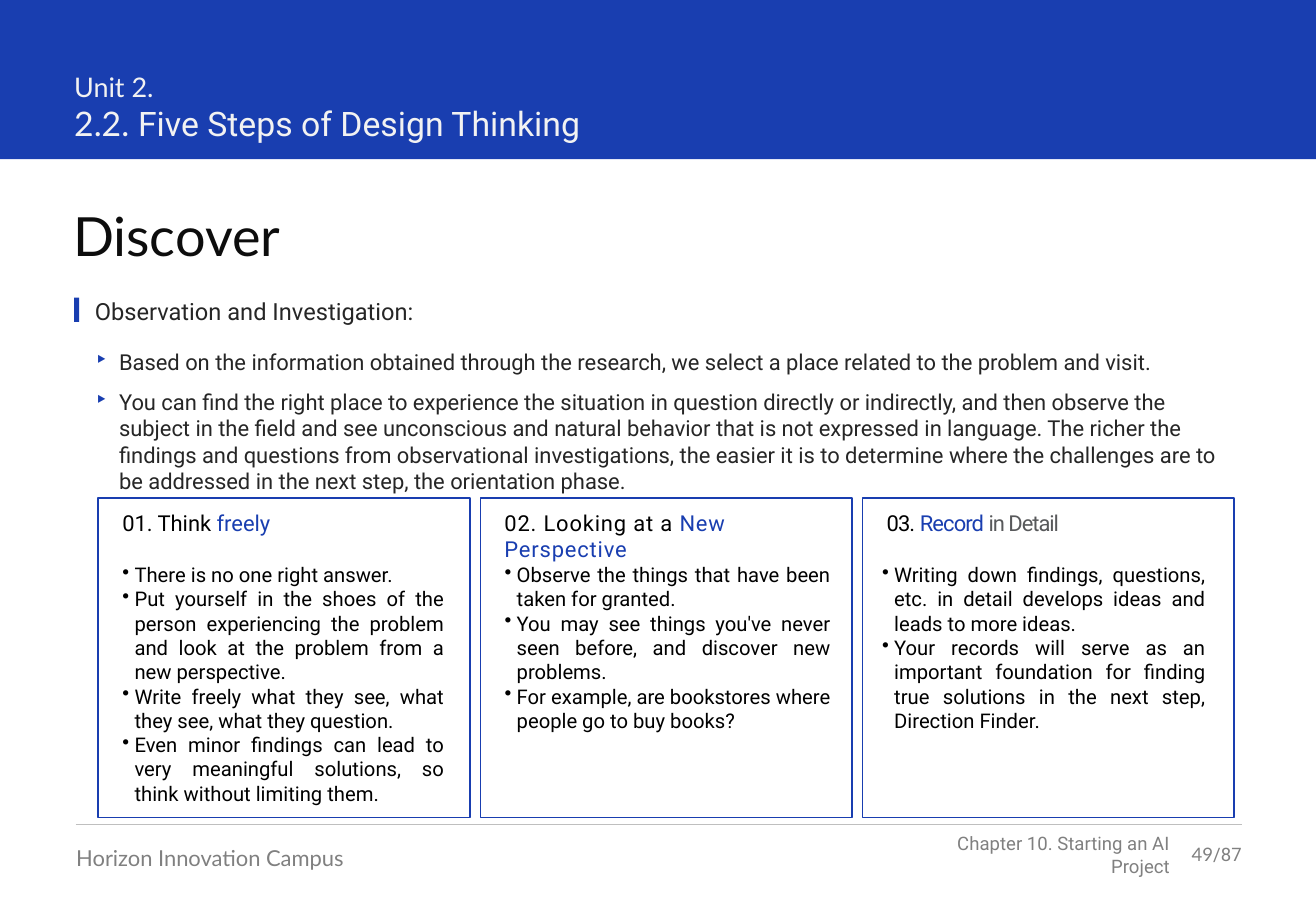
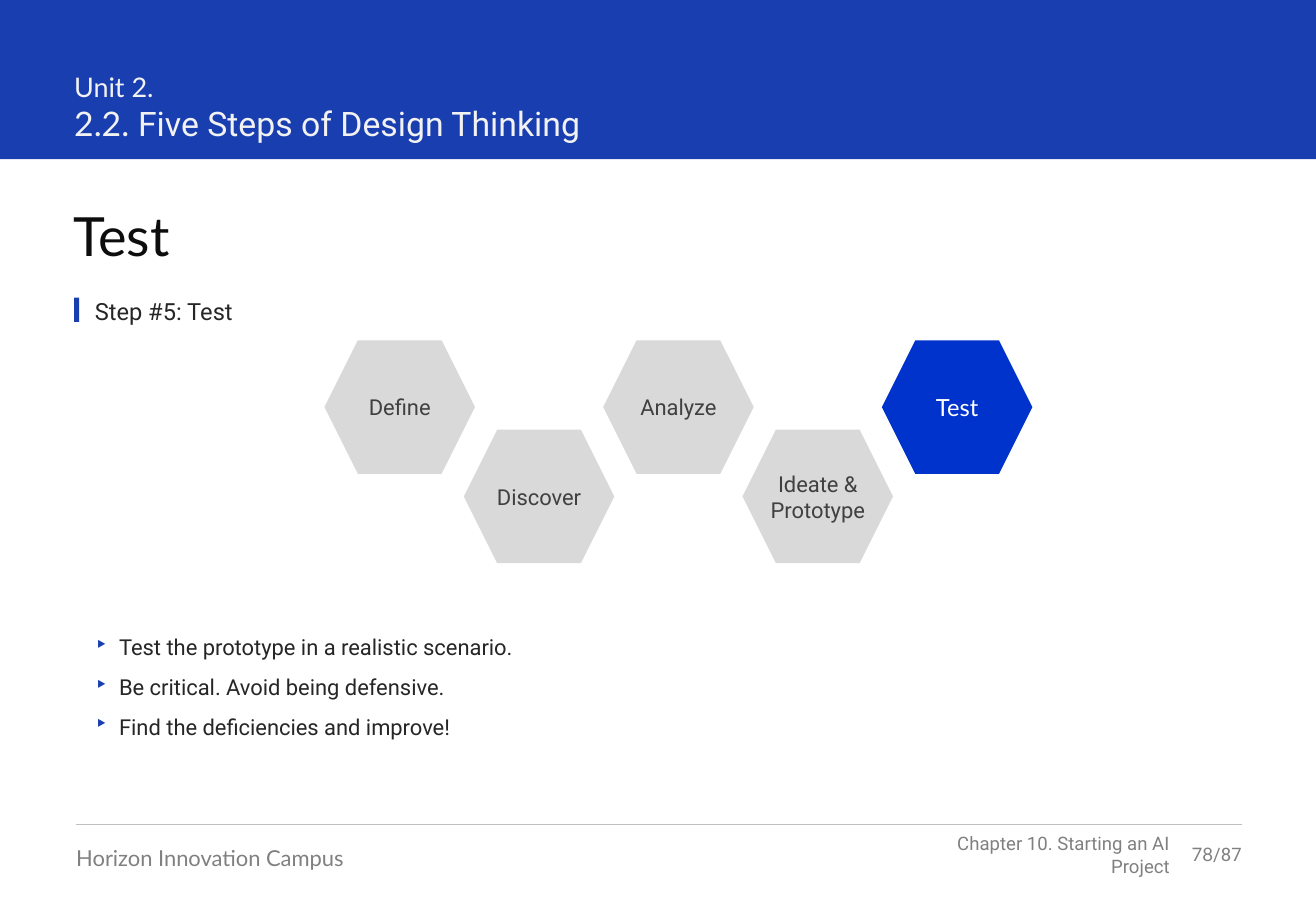
import pptx
import pptx.util
import pptx.dml.color
import pptx.enum.shapes
import pptx.enum.text
import pptx.oxml.ns
from dataclasses import dataclass
from lxml import etree

Pt = pptx.util.Pt
SHAPES = pptx.enum.shapes.MSO_SHAPE
ALIGN = pptx.enum.text.PP_ALIGN
ANCHOR = pptx.enum.text.MSO_ANCHOR


@dataclass(frozen=True)
class Theme:
    blue: str = "193EB0"
    active: str = "0033CC"
    idle: str = "D9D9D9"
    rule: str = "BFBFBF"
    white: str = "FFFFFF"
    header: str = "F2F2F2"
    title: str = "0D0D0D"
    body: str = "262626"
    label: str = "404040"
    footer: str = "808080"
    black: str = "000000"
    grey: str = "58595B"
    lato: str = "Lato"
    roboto: str = "Roboto"
    title_size: float = 32
    section_size: float = 20
    unit_size: float = 16
    lead_size: float = 14
    body_size: float = 13
    card_size: float = 12
    footer_size: float = 11


T = Theme()

# Content
BRAND = "Horizon Innovation Campus"
CHAPTER = "Chapter 10. Starting an AI Project"
PAGE_COUNT = 87
UNIT, SECTION_NUMBER, SECTION = "Unit 2.", "2.2. ", "Five Steps of Design Thinking"

DISCOVER = {
    "number": 49, "title": "Discover", "lead": "Observation and Investigation:",
    "bullets_top": 201, "bullets": [
        "Based on the information obtained through the research, we select a place related to "
        "the problem and visit.",
        "You can find the right place to experience the situation in question directly or "
        "indirectly, and then observe the subject in the field and see unconscious and natural "
        "behavior that is not expressed in language. The richer the findings and questions from "
        "observational investigations, the easier it is to determine where the challenges are to "
        "be addressed in the next step, the orientation phase."],
}
TEST = {
    "number": 78, "title": "Test", "lead": "Step #5: Test",
    "bullets_top": 370, "bullets": [
        "Test the prototype in a realistic scenario.",
        "Be critical. Avoid being defensive.",
        "Find the deficiencies and improve!"],
}
# Heading runs (text, colour, letter spacing), list offset, list width, list items
CARDS = [
    ([("01. Think ", T.black, 0), ("freely", T.blue, 0)], 7.2, 205, [
        "There is no one right answer.",
        "Put yourself in the shoes of the person experiencing the problem and look at the "
        "problem from a new perspective.",
        "Write freely what they see, what they see, what they question.",
        "Even minor findings can lead to very meaningful solutions, so think without limiting "
        "them."]),
    ([("02. Looking at a ", T.black, 0.5), ("New Perspective", T.blue, 0.5)], 7.2, 207.5, [
        "Observe the things that have been taken for granted.",
        "You may see things you've never seen before, and discover new problems.",
        "For example, are bookstores where people go to buy books?"]),
    ([("03. ", T.black, -0.5), ("Record ", T.blue, -0.5), ("in Detail", T.grey, -0.6)], 4.4, 206, [
        "Writing down findings, questions, etc. in detail develops ideas and leads to more ideas.",
        "Your records will serve as an important foundation for finding true solutions in the "
        "next step, Direction Finder."]),
]
STEPS = ["Define", "Discover", "Analyze", "Ideate & Prototype", "Test"]
CURRENT_STEP = "Test"

# Geometry
PAGE_W, PAGE_H = 780, 540
LEFT, RIGHT, INDENTED = 44, 736, 56.2
CARD_LEFT, CARD_TOP, CARD_W, CARD_H, CARD_PITCH = 58.3, 295.2, 220.3, 189.4, 226.5
HEX_LEFT, HEX_TOP, HEX_W, HEX_H = 192.3, 201.7, 89.2, 79.2
HEX_PITCH, HEX_DROP = 82.6, 53


def rgb(code):
    return pptx.dml.color.RGBColor.from_string(code)


def add_run(para, text, size, color, font=T.roboto, spacing=0):
    span = para.add_run()
    span.text = text
    span.font.size, span.font.name = Pt(size), font
    span.font.color.rgb = rgb(color)
    if spacing:
        span._r.get_or_add_rPr().set("spc", str(round(spacing * 100)))


def set_bullet(para, mark, indent, color=None):
    props = para._p.get_or_add_pPr()
    props.set("marL", str(Pt(indent)))
    props.set("indent", str(-Pt(indent)))
    qn = pptx.oxml.ns.qn
    if color:
        etree.SubElement(etree.SubElement(props, qn("a:buClr")), qn("a:srgbClr")).set("val", color)
    etree.SubElement(props, qn("a:buChar")).set("char", mark)


def set_frame(frame, insets=(0, 0, 0, 0), anchor=ANCHOR.TOP):
    frame.word_wrap = True
    frame.vertical_anchor = anchor
    frame.margin_left, frame.margin_top, frame.margin_right, frame.margin_bottom = map(Pt, insets)


def add_text(page, x, y, w, h, paras, align=ALIGN.LEFT, after=0, bullet=None, **frame_style):
    """Each paragraph is a list of argument tuples for add_run."""
    box = page.shapes.add_textbox(Pt(x), Pt(y), Pt(w), Pt(h))
    frame = box.text_frame
    set_frame(frame, **frame_style)
    for index, runs in enumerate(paras):
        para = frame.add_paragraph() if index else frame.paragraphs[0]
        para.alignment = align
        para.space_after = Pt(after)
        if bullet:
            set_bullet(para, *bullet)
        for run in runs:
            add_run(para, *run)


def add_block(page, kind, x, y, w, h, fill=None, line=None):
    block = page.shapes.add_shape(kind, Pt(x), Pt(y), Pt(w), Pt(h))
    block.shadow.inherit = False
    if fill:
        block.fill.solid()
        block.fill.fore_color.rgb = rgb(fill)
    else:
        block.fill.background()
    if line:
        block.line.color.rgb = rgb(line)
        block.line.width = Pt(1)
    else:
        block.line.fill.background()
    return block


def add_page(deck, content):
    """Band, footer, title, lead line and bullets of every slide."""
    page = deck.slides.add_slide(deck.slide_layouts[6])
    add_block(page, SHAPES.RECTANGLE, 0, 0, PAGE_W, 94.4, T.blue)
    add_text(page, LEFT, 41.8, 458.6, 44, [
        [(UNIT, T.unit_size, T.header, T.lato)],
        [(SECTION_NUMBER, T.section_size, T.header, T.lato),
         (SECTION, T.section_size, T.header)]])

    # Footer
    rule = page.shapes.add_connector(pptx.enum.shapes.MSO_CONNECTOR.STRAIGHT,
                                     Pt(45), Pt(488.9), Pt(RIGHT), Pt(488.9))
    rule.line.color.rgb, rule.line.width = rgb(T.rule), Pt(0.5)
    etree.SubElement(rule._element.spPr, pptx.oxml.ns.qn("a:effectLst"))
    add_text(page, 45.2, 500.4, 227.5, 16, [[(BRAND, T.body_size, T.footer, T.lato)]])
    add_text(page, 533.4, 499.7, 160, 13.7, [[(CHAPTER, T.footer_size, T.footer)]],
             align=ALIGN.RIGHT, anchor=ANCHOR.MIDDLE)
    add_text(page, 693.4, 499.7, RIGHT - 693.4, 13.7,
             [[(str(content["number"]), T.footer_size, T.footer, T.lato),
               (f"/{PAGE_COUNT}", T.footer_size, T.footer)]],
             align=ALIGN.RIGHT, anchor=ANCHOR.MIDDLE)

    # Title, lead line and bullets
    add_text(page, 43.3, 120.2, RIGHT - 43.3, 39,
             [[(content["title"], T.title_size, T.title, T.lato)]])
    add_block(page, SHAPES.RECTANGLE, LEFT, 176.5, 3, 14.4, T.blue)
    add_text(page, INDENTED, 175.7, RIGHT - INDENTED, 17.2,
             [[(content["lead"], T.lead_size, T.body)]])
    bullets = content["bullets"]
    add_text(page, INDENTED, content["bullets_top"], RIGHT - INDENTED, 75,
             [[(text, T.body_size, T.body)] for text in bullets],
             after=8, bullet=("‣", 14.4, T.blue), insets=(0, 5.8, 11.5, 5.8))
    return page


def add_cards(page):
    for index, (heading, offset, width, items) in enumerate(CARDS):
        x = CARD_LEFT + index * CARD_PITCH
        add_block(page, SHAPES.RECTANGLE, x, CARD_TOP, CARD_W, CARD_H, line=T.blue)
        add_text(page, x, CARD_TOP + 5, 207.4, 32.4,
                 [[(text, T.body_size, color, T.roboto, spacing)
                   for text, color, spacing in heading]],
                 insets=(14.2, 1.7, 0, 0))
        add_text(page, x + offset, CARD_TOP + 34.6, width, 152,
                 [[(text, T.card_size, T.black)] for text in items],
                 align=ALIGN.JUSTIFY, bullet=("•", 7.2), insets=(7.2, 3.6, 7.2, 3.6))


def add_steps(page):
    for index, step in enumerate(STEPS):
        current = step == CURRENT_STEP
        hexagon = add_block(page, SHAPES.HEXAGON, HEX_LEFT + index * HEX_PITCH,
                            HEX_TOP + index % 2 * HEX_DROP, HEX_W, HEX_H,
                            T.active if current else T.idle)
        set_frame(hexagon.text_frame, anchor=ANCHOR.MIDDLE)
        para = hexagon.text_frame.paragraphs[0]
        para.alignment = ALIGN.CENTER
        style = (T.lead_size, T.white, T.lato) if current else (T.body_size, T.label)
        add_run(para, step, *style)


def main():
    deck = pptx.Presentation()
    deck.slide_width, deck.slide_height = Pt(PAGE_W), Pt(PAGE_H)
    add_cards(add_page(deck, DISCOVER))
    add_steps(add_page(deck, TEST))
    deck.save("out.pptx")


if __name__ == "__main__":
    main()
